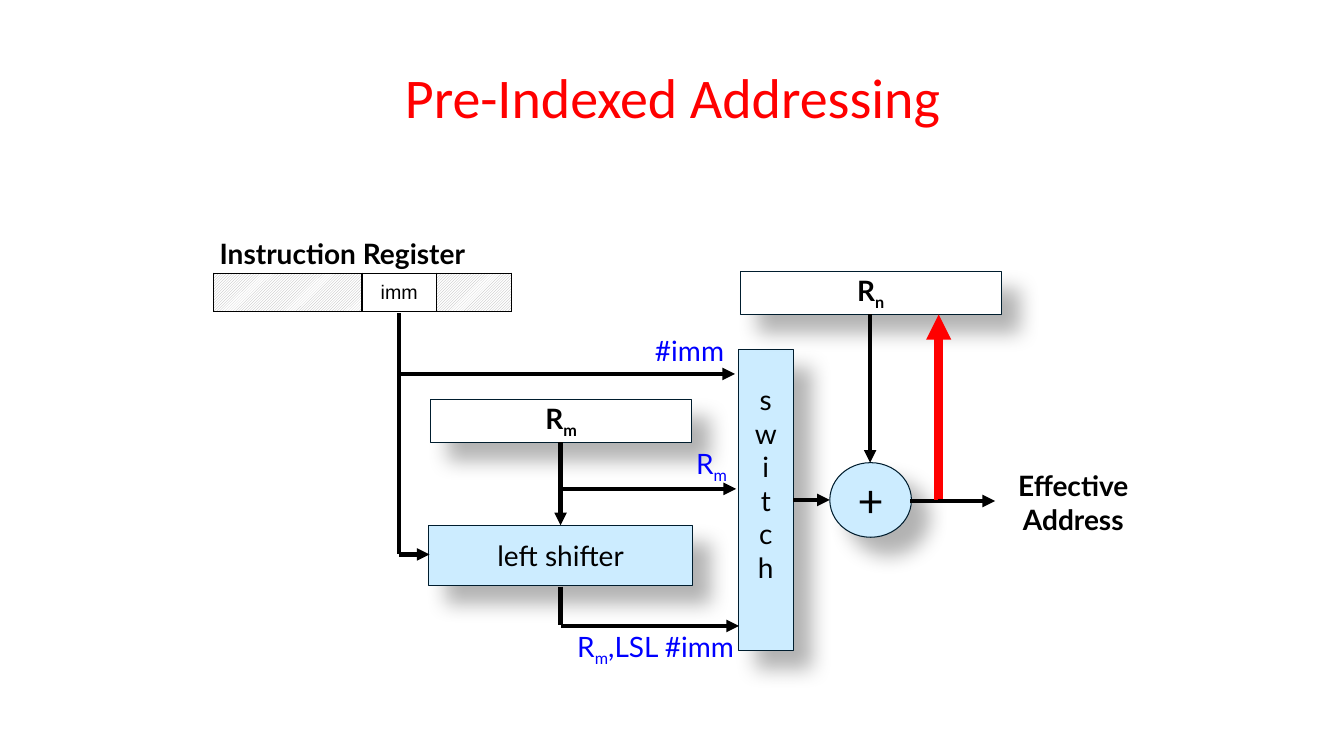
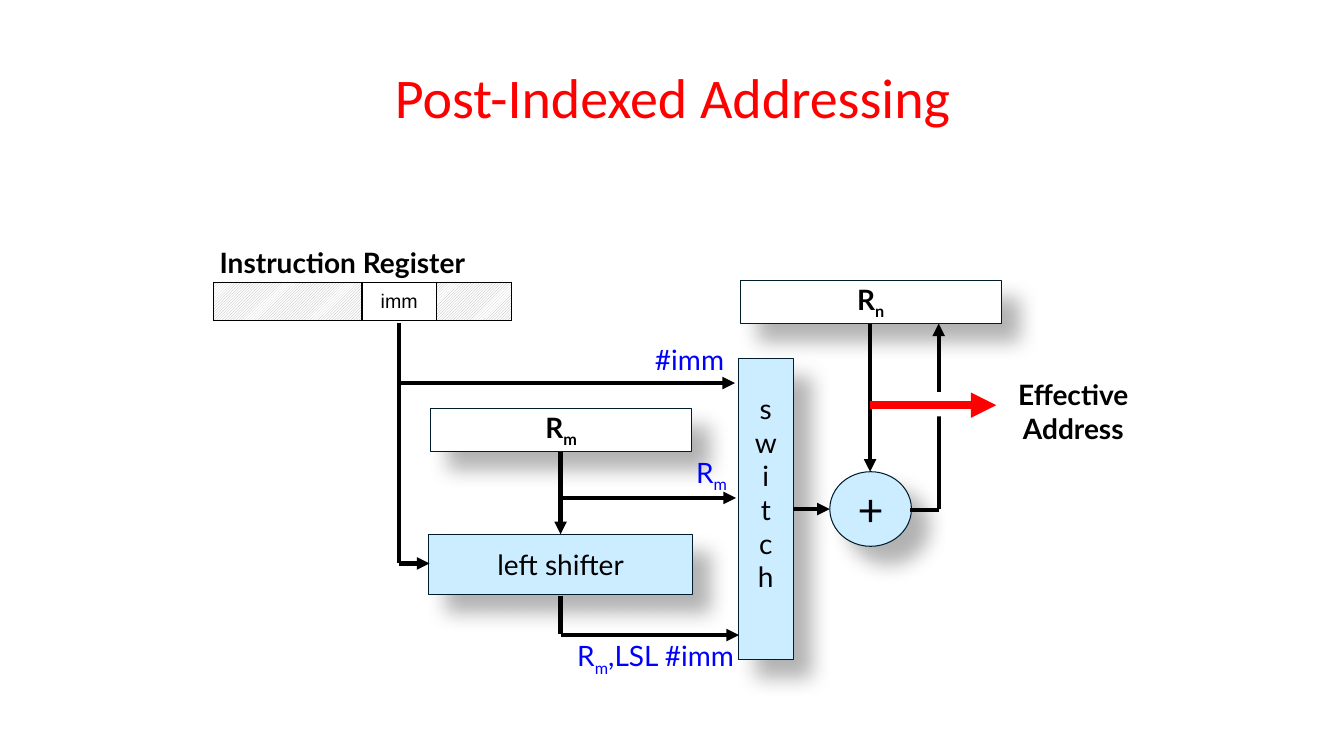
from lxml import etree
from pptx import Presentation
from pptx.dml.color import RGBColor
from pptx.enum import dml, shapes, text
from pptx.oxml import parse_xml
from pptx.oxml.ns import nsdecls, qn
from pptx.util import Inches, Pt

COLORS = {"title": "FF0000", "accent": "FF0000", "ink": "000000", "label": "0000FF",
          "outline": "001D2E", "unit": "CCECFF", "paper": "FFFFFF", "hatch": "B2B2B2"}
ALIGN = text.PP_ALIGN
RECT = shapes.MSO_SHAPE.RECTANGLE


def rgb(name):
    return RGBColor.from_string(COLORS[name])


def style(p, size, color="ink", bold=False, font="Lato", align=ALIGN.CENTER):
    p.alignment = align
    p.font.size, p.font.name, p.font.bold = Pt(size), font, bold
    p.font.color.rgb = rgb(color)


def write(tf, content, **look):
    """One paragraph a line; '|' separates runs and a leading '_' marks a subscript."""
    for i, line in enumerate(content.split("\n")):
        p = tf.paragraphs[0] if i == 0 else tf.add_paragraph()
        for part in line.split("|"):
            r = p.add_run()
            r.text = part.lstrip("_")
            if part.startswith("_"):
                r._r.get_or_add_rPr().set("baseline", "-25000")
        style(p, **look)


class Diagram:
    """Draws on a slide, with all places relative to the diagram's corner."""

    def __init__(self, slide, left, top):
        self.shapes, self.left, self.top = slide.shapes, left, top

    def at(self, x, y):
        return Inches(self.left + x), Inches(self.top + y)

    def block(self, x, y, w, h, content, fill="unit", size=20, bold=False, kind=RECT):
        sp = self.shapes.add_shape(kind, *self.at(x, y), Inches(w), Inches(h))
        sp.fill.solid()
        sp.fill.fore_color.rgb = rgb(fill)
        sp.line.color.rgb, sp.line.width = rgb("outline"), Pt(0.75)
        sp._element.spPr.append(parse_xml(
            f'<a:effectLst {nsdecls("a")}><a:outerShdw blurRad="{Pt(15)}" dist="{Pt(18)}" '
            f'dir="2700000" algn="ctr" rotWithShape="0"><a:srgbClr val="{COLORS["ink"]}">'
            '<a:alpha val="30000"/></a:srgbClr></a:outerShdw></a:effectLst>'))
        tf = sp.text_frame
        tf.word_wrap, tf.vertical_anchor = False, text.MSO_ANCHOR.MIDDLE
        write(tf, content, size=size, bold=bold)
        return sp

    def register(self, x, y, content):
        self.block(x, y, 2.59, 0.43, content, fill="paper", bold=True)

    def label(self, x, y, w, content, h=0.43, **look):
        tf = self.shapes.add_textbox(*self.at(x, y), Inches(w), Inches(h)).text_frame
        tf.word_wrap = True
        write(tf, content, size=20, **look)

    def wire(self, x1, y1, x2, y2, arrow=True, color="ink", width=3):
        line = self.shapes.add_connector(shapes.MSO_CONNECTOR.STRAIGHT,
                                         *self.at(x1, y1), *self.at(x2, y2))
        line.line.color.rgb, line.line.width = rgb(color), Pt(width)
        if arrow:
            etree.SubElement(line.line._get_or_add_ln(), qn("a:tailEnd"), type="triangle")
        etree.SubElement(line._element.spPr, qn("a:effectLst"))

    def gap(self, x, y, w, h):
        sp = self.shapes.add_shape(RECT, *self.at(x, y), Inches(w), Inches(h))
        sp.shadow.inherit = False
        sp.fill.solid()
        sp.fill.fore_color.rgb = rgb("paper")
        sp.line.fill.background()

    def instruction_register(self, x, y):
        widths, height = (1.47, 0.74, 0.74), 0.38
        frame = self.shapes.add_table(1, 3, *self.at(x, y), Inches(sum(widths)), Inches(height))
        table = frame.table
        table.first_row = table.horz_banding = False
        table.rows[0].height = Inches(height)
        for i, w in enumerate(widths):
            table.columns[i].width = Inches(w)
            cell = table.cell(0, i)
            cell.vertical_anchor = text.MSO_ANCHOR.MIDDLE
            tc_pr = cell._tc.get_or_add_tcPr()
            for side in "LRTB":
                tc_pr.append(parse_xml(
                    f'<a:ln{side} {nsdecls("a")} w="{Pt(1)}"><a:solidFill>'
                    f'<a:srgbClr val="{COLORS["ink"]}"/></a:solidFill></a:ln{side}>'))
            p = cell.text_frame.paragraphs[0]
            if i == 1:
                p.text = "imm"
                cell.fill.solid()
                cell.fill.fore_color.rgb = rgb("paper")
            else:
                cell.fill.patterned()
                cell.fill.pattern = dml.MSO_PATTERN.DARK_UPWARD_DIAGONAL
                cell.fill.fore_color.rgb = rgb("hatch")
                cell.fill.back_color.rgb = rgb("paper")
            style(p, 14, font="Arial")


def add_offset_unit(d):
    # Registers and units
    d.label(0.08, 0, 3.14, "Instruction Register", bold=True, align=ALIGN.LEFT)
    d.instruction_register(0.12, 0.41)
    d.register(2.27, 1.66, "R|_m")
    d.block(2.25, 2.91, 2.62, 0.6, "left shifter")
    switch = d.block(5.32, 1.17, 0.55, 2.98, "\n".join("switch"))
    switch.text_frame.margin_bottom = Inches(0.38)
    # Immediate path
    d.wire(1.96, 0.81, 1.96, 3.2, arrow=False)
    d.wire(1.96, 3.2, 2.26, 3.2)
    d.wire(1.98, 1.41, 5.29, 1.41)
    # Register and shifter paths
    d.wire(3.56, 2.09, 3.56, 2.91)
    d.wire(3.56, 2.55, 5.3, 2.55)
    d.wire(3.56, 3.52, 3.56, 3.9, arrow=False)
    d.wire(3.56, 3.91, 5.33, 3.91)
    # Switch inputs
    for x, y, w, content in ((3.37, 0.96, 1.91, "#imm"), (3.4, 2.08, 1.91, "R|_m"),
                             (3.15, 3.9, 2.23, "R|_m|,LSL #imm")):
        d.label(x, y, w, content, color="label", align=ALIGN.RIGHT)


def add_adder(d):
    d.register(5.34, 0.39, "R|_n")
    d.block(6.23, 2.29, 0.81, 0.74, "+", size=32, kind=shapes.MSO_SHAPE.OVAL)
    d.wire(6.63, 0.82, 6.63, 2.29)
    d.wire(5.87, 2.66, 6.23, 2.66)
    d.wire(7.03, 2.67, 7.31, 2.67, arrow=False)


def add_pre_output(d):
    d.wire(7.31, 2.66, 7.31, 0.82, color="accent", width=6)
    d.wire(7.3, 2.67, 7.87, 2.67)
    d.label(7.82, 2.3, 1.65, "Effective\nAddress", h=0.77, bold=True)


def add_post_output(d):
    d.wire(7.31, 2.66, 7.31, 0.82)
    d.gap(7.2, 1.5, 0.22, 0.24)
    d.wire(6.63, 1.63, 7.88, 1.63, color="accent", width=6)
    d.label(7.82, 1.31, 1.65, "Effective\nAddress", h=0.77, bold=True)


def add_addressing_slide(prs, title, top, add_output):
    s = prs.slides.add_slide(prs.slide_layouts[5])
    sp = s.shapes.title
    sp.left, sp.top, sp.width, sp.height = (Inches(v) for v in (2.42, 0.33, 8.5, 1.25))
    sp.text_frame.vertical_anchor = text.MSO_ANCHOR.MIDDLE
    write(sp.text_frame, title, size=40, color="title", font="Calibri")
    d = Diagram(s, 2, top)
    add_offset_unit(d)
    add_adder(d)
    add_output(d)


def main():
    prs = Presentation()
    prs.slide_width, prs.slide_height = Inches(13.33), Inches(7.5)
    add_addressing_slide(prs, "Pre-Indexed Addressing", 2.3, add_pre_output)
    add_addressing_slide(prs, "Post-Indexed Addressing", 2.39, add_post_output)
    prs.save("out.pptx")


if __name__ == "__main__":
    main()
